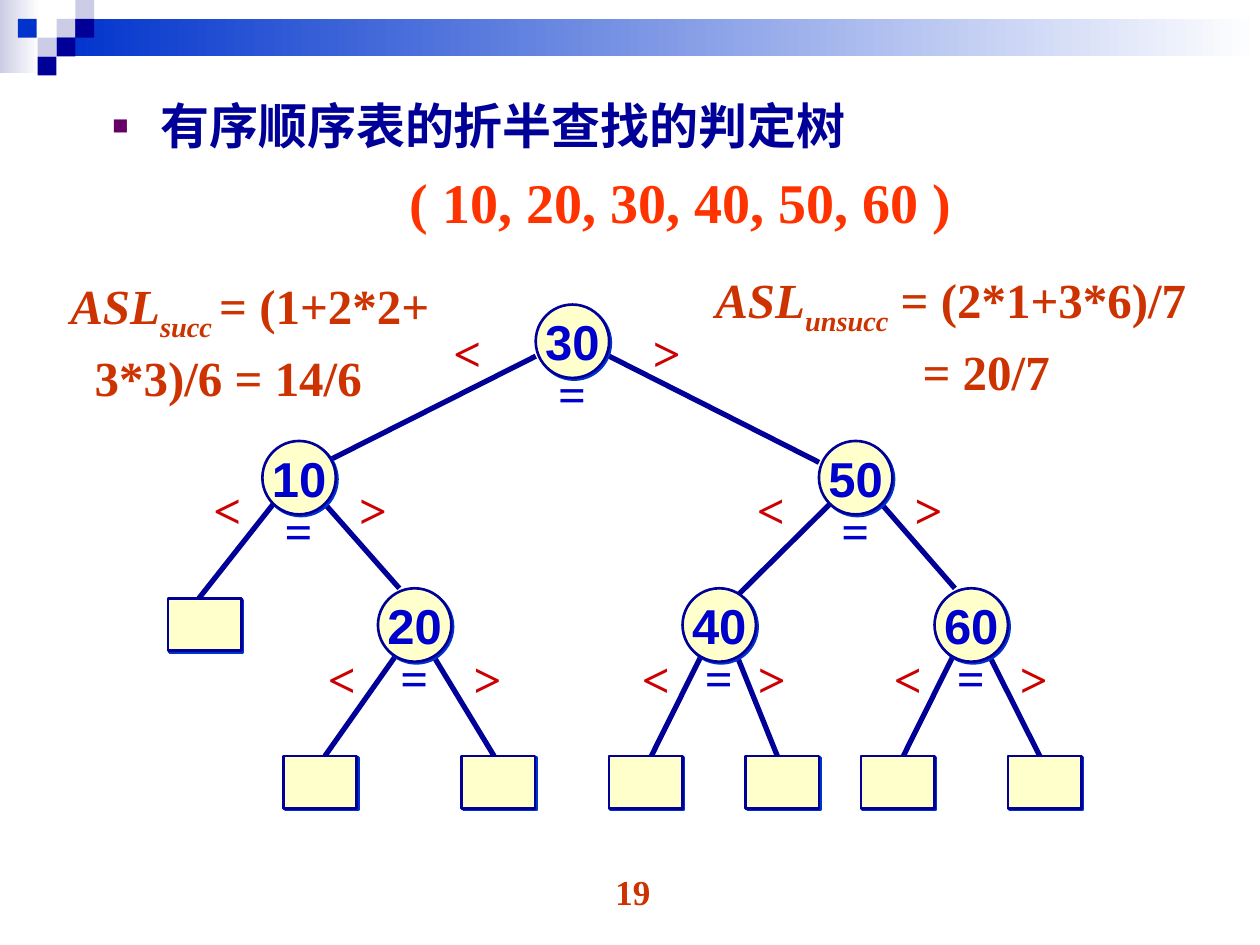
from lxml import etree
from pptx import Presentation
from pptx.dml.color import RGBColor
from pptx.enum.shapes import MSO_CONNECTOR, MSO_SHAPE
from pptx.enum.text import MSO_ANCHOR, MSO_AUTO_SIZE, PP_ALIGN
from pptx.oxml.ns import qn
from pptx.util import Cm, Pt

RECT, OVAL = MSO_SHAPE.RECTANGLE, MSO_SHAPE.OVAL
STRAIGHT = MSO_CONNECTOR.STRAIGHT
TOP, MIDDLE = MSO_ANCHOR.TOP, MSO_ANCHOR.MIDDLE
LEFT, CENTER = PP_ALIGN.LEFT, PP_ALIGN.CENTER
NO_FIT = MSO_AUTO_SIZE.NONE

NAVY = RGBColor(0x00, 0x00, 0x99)
BLUE = RGBColor(0x00, 0x33, 0xCC)
BRIGHT = RGBColor(0x00, 0x00, 0xCC)
LILAC = RGBColor(0xCC, 0xCC, 0xE6)
WHITE = RGBColor(0xFF, 0xFF, 0xFF)
CREAM = RGBColor(0xFF, 0xFF, 0xCC)
PURPLE = RGBColor(0x66, 0x00, 0x66)
RUST = RGBColor(0xCC, 0x33, 0x00)
ORANGE = RGBColor(0xFF, 0x33, 0x00)
RED = RGBColor(0xCC, 0x00, 0x00)
SERIF, SANS = "Times New Roman", "Arial"

HEADING = "有序顺序表的折半查找的判定树"
SEQUENCE = "( 10, 20, 30, 40, 50, 60 )"
PAGE_NUMBER = "19"

BANDS = [(0, 0, 0.79, 1.47, LILAC), (1.14, 0.38, 24.26, 0.76, BLUE)]
PIXEL = 0.38
PIXELS = [(3, 1, LILAC), (4, 0, LILAC), (4, 1, NAVY), (2, 2, LILAC),
          (0.95, 1, BLUE), (3, 2, NAVY), (2, 3, NAVY)]

FORMULAS = [
    ((14.17, 5.21, 10.01, 2.79), 4.18,
     [("ASL", True, False), ("unsucc", True, True), (" = (2*1+3*6)/7", False, False)],
     "= 20/7"),
    ((1.17, 5.33, 7.85, 2.79), 0.49,
     [("ASL", True, False), ("succ ", True, True), ("= (1+2*2+", False, False)],
     "3*3)/6 = 14/6"),
]

NODE = 1.48
LEVELS = [
    {"top": 6.14, "sign_drop": 0.23, "edge_inset": 0, "edge_drop": 1.04},
    {"top": 8.89, "sign_drop": 0.65, "edge_inset": 0.22, "edge_drop": 1.27},
    {"top": 11.86, "sign_drop": 1.08, "edge_inset": 0.42, "edge_drop": 1.27},
]
# level, left, then for each branch: shift of the sign and end of the edge
TREE = {
    "30": (0, 10.8, (-1.91, (6.55, 9.32)), (2.11, (16.51, 9.32))),
    "10": (1, 5.29, (-1.24, (4.01, 12.06)), (1.7, (8.05, 11.86))),
    "50": (1, 16.51, (-1.5, (14.81, 12.06)), (1.68, (19.25, 11.86))),
    "20": (2, 7.62, (-1.26, (6.55, 15.24)), (1.68, (9.96, 15.24))),
    "40": (2, 13.76, (-1.07, (13.13, 15.24)), (1.27, (15.67, 15.24))),
    "60": (2, 18.84, (-1.07, (18.21, 15.24)), (1.47, (20.96, 15.24))),
}
EQUAL_SHIFT, EQUAL_DROP = 0.2, 1.07
LEAF_HEIGHT = 1.06
LEAVES = [(3.39, 12.06)] + [(x, 15.24) for x in (5.71, 9.31, 12.28, 15.03, 17.36, 20.32)]


def add_span(para, text, size, color, font=SERIF, italic=False, subscript=False):
    span = para.add_run()
    span.text = text
    span.font.name = font
    span.font.size = Pt(size)
    span.font.bold = True
    span.font.italic = italic
    span.font.color.rgb = color
    if subscript:
        span.font._element.set("baseline", "-25000")


def indent(para, margin, first=0):
    properties = para._p.get_or_add_pPr()
    properties.set("marL", str(Cm(margin)))
    properties.set("indent", str(Cm(first)))
    return properties


def add_text_box(slide, place, wrap=False):
    box = slide.shapes.add_textbox(*map(Cm, place))
    box.text_frame.word_wrap = wrap
    return box.text_frame


def add_shape(slide, kind, place, color):
    shape = slide.shapes.add_shape(kind, *map(Cm, place))
    shape.shadow.inherit = False
    shape.fill.solid()
    shape.fill.fore_color.rgb = color
    shape.line.fill.background()
    return shape


def add_tree_shape(slide, kind, place):
    shape = add_shape(slide, kind, place, CREAM)
    shape.line.color.rgb = NAVY
    shape.line.width = Pt(1.5)
    effects = shape._element.spPr.find(qn("a:effectLst"))
    shadow = etree.SubElement(effects, qn("a:outerShdw"), dist=str(Pt(1.4)),
                              dir="2700000", algn="ctr", rotWithShape="0")
    etree.SubElement(shadow, qn("a:srgbClr"), val=str(BLUE))
    return shape


def add_edge(slide, start, end):
    edge = slide.shapes.add_connector(STRAIGHT, *map(Cm, start + end))
    edge.line.color.rgb = NAVY
    edge.line.width = Pt(3)
    etree.SubElement(edge._element.spPr, qn("a:effectLst"))


def add_sign(slide, sign, left, top, color):
    frame = add_text_box(slide, (left, top, 1.07, 1.45))
    add_span(frame.paragraphs[0], sign, 28, color)


def add_banner(slide):
    for *place, color in BANDS:
        band = add_shape(slide, RECT, place, color)
        band.fill.gradient()
        band.fill.gradient_angle = 0
        for stop, position, shade in zip(band.fill.gradient_stops, (0, 1), (color, WHITE)):
            stop.position = position
            stop.color.rgb = shade
    for column, row, color in PIXELS:
        add_shape(slide, RECT, (column * PIXEL, row * PIXEL, PIXEL, PIXEL), color)


def fill_title(title):
    title.left, title.top, title.width, title.height = map(Cm, (2.01, 1.93, 20.75, 3.38))
    frame = title.text_frame
    frame.word_wrap = True
    frame.auto_size = NO_FIT
    frame.vertical_anchor = TOP
    heading, sequence = frame.paragraphs[0], frame.add_paragraph()
    heading.alignment = sequence.alignment = LEFT
    heading.line_spacing, sequence.line_spacing = 0.9, 1.18
    properties = indent(heading, 0.97, -0.97)
    bullet_color = etree.SubElement(properties, qn("a:buClr"))
    etree.SubElement(bullet_color, qn("a:srgbClr"), val=str(PURPLE))
    etree.SubElement(properties, qn("a:buSzPct"), val="55000")
    etree.SubElement(properties, qn("a:buFont"), typeface=SANS)
    etree.SubElement(properties, qn("a:buChar"), char="■")
    indent(sequence, 5.99)
    add_span(heading, HEADING, 28, NAVY)
    add_span(sequence, SEQUENCE, 32, ORANGE)


def add_tree(slide):
    for number, left, *branches in TREE.values():
        level = LEVELS[number]
        inset = level["edge_inset"]
        for shift, (_, end) in zip((inset, NODE - inset), branches):
            add_edge(slide, (left + shift, level["top"] + level["edge_drop"]), end)
    for left, top in LEAVES:
        add_tree_shape(slide, RECT, (left, top, NODE, LEAF_HEIGHT))
    for key, (number, left, *branches) in TREE.items():
        level = LEVELS[number]
        top = level["top"]
        frame = add_tree_shape(slide, OVAL, (left, top, NODE, NODE)).text_frame
        frame.word_wrap = False
        frame.vertical_anchor = MIDDLE
        frame.paragraphs[0].alignment = CENTER
        add_span(frame.paragraphs[0], key, 28, BRIGHT, SANS)
        add_sign(slide, "=", left + EQUAL_SHIFT, top + EQUAL_DROP, BRIGHT)
        for sign, (shift, _) in zip("<>", branches):
            add_sign(slide, sign, left + shift, top + level["sign_drop"], RED)


def add_formulas(slide):
    for place, margin, spans, result in FORMULAS:
        frame = add_text_box(slide, place)
        first, second = frame.paragraphs[0], frame.add_paragraph()
        first.line_spacing = second.line_spacing = 1.08
        for text, italic, subscript in spans:
            add_span(first, text, 28, RUST, italic=italic, subscript=subscript)
        indent(second, margin)
        add_span(second, result, 28, RUST)


def main():
    deck = Presentation()
    deck.slide_width, deck.slide_height = Cm(25.4), Cm(19.05)
    slide = deck.slides.add_slide(deck.slide_layouts[5])
    add_banner(slide)
    fill_title(slide.shapes.title)
    add_tree(slide)
    add_formulas(slide)
    footer = add_text_box(slide, (9.8, 17.42, 5.92, 1.32), wrap=True).paragraphs[0]
    footer.alignment = CENTER
    add_span(footer, PAGE_NUMBER, 20, RUST)
    deck.save("out.pptx")


if __name__ == "__main__":
    main()
